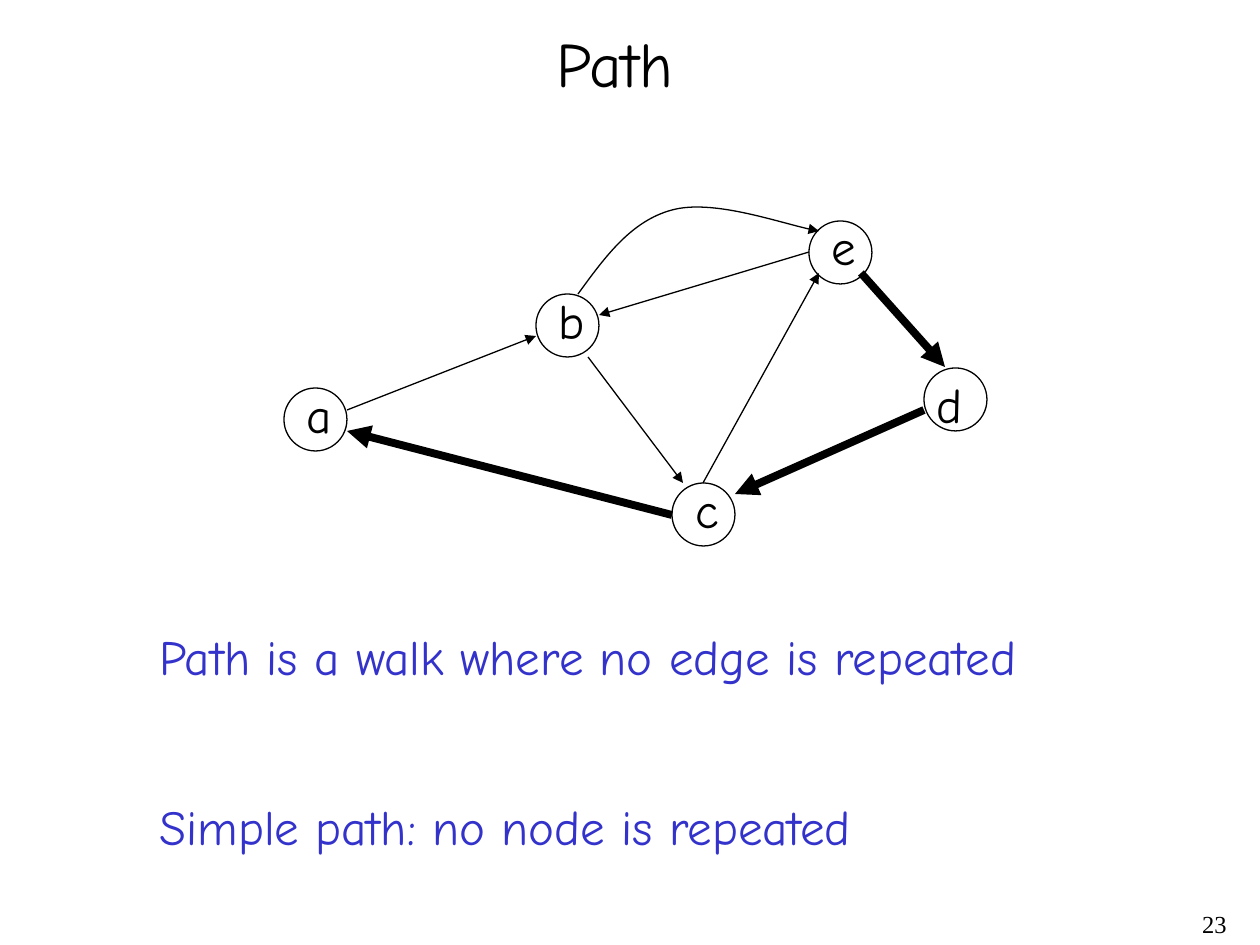
from dataclasses import dataclass

from lxml.etree import SubElement
from pptx import Presentation
from pptx.dml.color import RGBColor
from pptx.enum.shapes import MSO_CONNECTOR as Connector, MSO_SHAPE as Shape
from pptx.enum.text import MSO_ANCHOR as Anchor, MSO_AUTO_SIZE as AutoSize, PP_ALIGN as Align
from pptx.oxml.ns import qn
from pptx.util import Emu, Pt

TITLE = "Path"
STATEMENTS = [
    "Path is a walk where no edge is repeated",
    "Simple path: no node is repeated",
]
PAGE_NUMBER = "23"

NODE_SIZE = 63
LABEL_SIZE = (54, 72)
NODES = {
    "a": {"circle": (284, 388), "label": (294, 378)},
    "b": {"circle": (536, 294), "label": (546, 284)},
    "c": {"circle": (672, 483), "label": (683, 473)},
    "d": {"circle": (924, 368), "label": (924, 368)},
    "e": {"circle": (809, 221), "label": (819, 210)},
}
EDGES = [
    ((347, 410), (536, 336)),
    ((588, 357), (683, 483)),
    ((703, 483), (819, 273)),
    ((809, 252), (599, 315)),
]
PATH_EDGES = [
    ((861, 273), (945, 367)),
    ((924, 410), (735, 494)),
    ((672, 515), (347, 431)),
]
CURVE_START = (578, 294)
CURVE_SEGMENTS = [
    [(605, 257), (631, 221), (672, 210)],
    [(712, 199), (789, 226), (819, 231)],
]


@dataclass(frozen=True)
class Theme:
    font: str = "Comic Neue"
    number_font: str = "Times New Roman"
    ink: RGBColor = RGBColor(0, 0, 0)
    accent: RGBColor = RGBColor(0x33, 0x33, 0xCC)
    title_size: int = 36
    text_size: int = 28
    number_size: int = 14
    statement_gap: float = 63.5
    thin: float = 0.75
    thick: float = 4.5


THEME = Theme()
SCALE = 914400 / 126


def px(*values):
    return [Emu(round(value * SCALE)) for value in values]


def place(shape, left, top, width, height):
    shape.left, shape.top, shape.width, shape.height = px(left, top, width, height)


def write(shape, lines, size, color=THEME.ink, font=THEME.font, align=Align.LEFT, gap=0):
    frame = shape.text_frame
    frame.text = "\n".join(lines)
    frame.word_wrap = False
    frame.auto_size = AutoSize.NONE
    frame.vertical_anchor = Anchor.TOP
    for index, paragraph in enumerate(frame.paragraphs):
        paragraph.alignment = align
        paragraph.line_spacing = 1.0
        paragraph.space_before = Pt(gap if index else 0)
        for run in paragraph.runs:
            run.font.name = font
            run.font.size = Pt(size)
            run.font.color.rgb = color


def remove_bullets(shape):
    for paragraph in shape.text_frame.paragraphs:
        properties = paragraph._p.get_or_add_pPr()
        properties.set("marL", "0")
        properties.set("indent", "0")
        SubElement(properties, qn("a:buNone"))


def outline(shape, width):
    shape.line.color.rgb = THEME.ink
    shape.line.width = Pt(width)


def add_arrowhead(shape):
    SubElement(shape.line._get_or_add_ln(), qn("a:tailEnd"), type="triangle")


def add_node(shapes, name, circle, label):
    ellipse = shapes.add_shape(Shape.OVAL, *px(*circle, NODE_SIZE, NODE_SIZE))
    ellipse.shadow.inherit = False
    ellipse.fill.background()
    outline(ellipse, THEME.thin)
    write(shapes.add_textbox(*px(*label, *LABEL_SIZE)), [name], THEME.text_size)


def add_edge(shapes, start, end, width):
    edge = shapes.add_connector(Connector.STRAIGHT, *px(*start, *end))
    outline(edge, width)
    add_arrowhead(edge)
    SubElement(edge._element.spPr, qn("a:effectLst"))


def add_curve(shapes):
    builder = shapes.build_freeform(*CURVE_START, scale=SCALE)
    for segment in CURVE_SEGMENTS:
        builder.add_line_segments(segment, close=False)
    curve = builder.convert_to_shape()
    curve.shadow.inherit = False
    curve.fill.background()
    outline(curve, THEME.thin)
    add_arrowhead(curve)

    outline_path = next(curve._element.iter(qn("a:path")))
    corners = outline_path.findall(qn("a:lnTo"))
    for first in range(0, len(corners), 3):
        bezier = SubElement(outline_path, qn("a:cubicBezTo"))
        for corner in corners[first:first + 3]:
            bezier.append(corner[0])
            outline_path.remove(corner)


def main():
    presentation = Presentation()
    presentation.slide_width, presentation.slide_height = px(1260, 945)
    slide = presentation.slides.add_slide(presentation.slide_layouts[1])

    title, body = slide.placeholders
    place(title, 544, 18, 156, 88)
    write(title, [TITLE], THEME.title_size)

    graph = slide.shapes.add_group_shape().shapes
    for name, spots in NODES.items():
        add_node(graph, name, **spots)
    for edges, width in ((EDGES, THEME.thin), (PATH_EDGES, THEME.thick)):
        for start, end in edges:
            add_edge(graph, start, end, width)
    add_curve(slide.shapes)

    place(body, 147, 620, 951, 248)
    write(body, STATEMENTS, THEME.text_size, THEME.accent, gap=THEME.statement_gap)
    remove_bullets(body)

    number = slide.shapes.add_textbox(*px(977, 903, 262, 42))
    write(number, [PAGE_NUMBER], THEME.number_size, font=THEME.number_font, align=Align.RIGHT)
    number.text_frame.word_wrap = True

    presentation.save("out.pptx")


if __name__ == "__main__":
    main()
